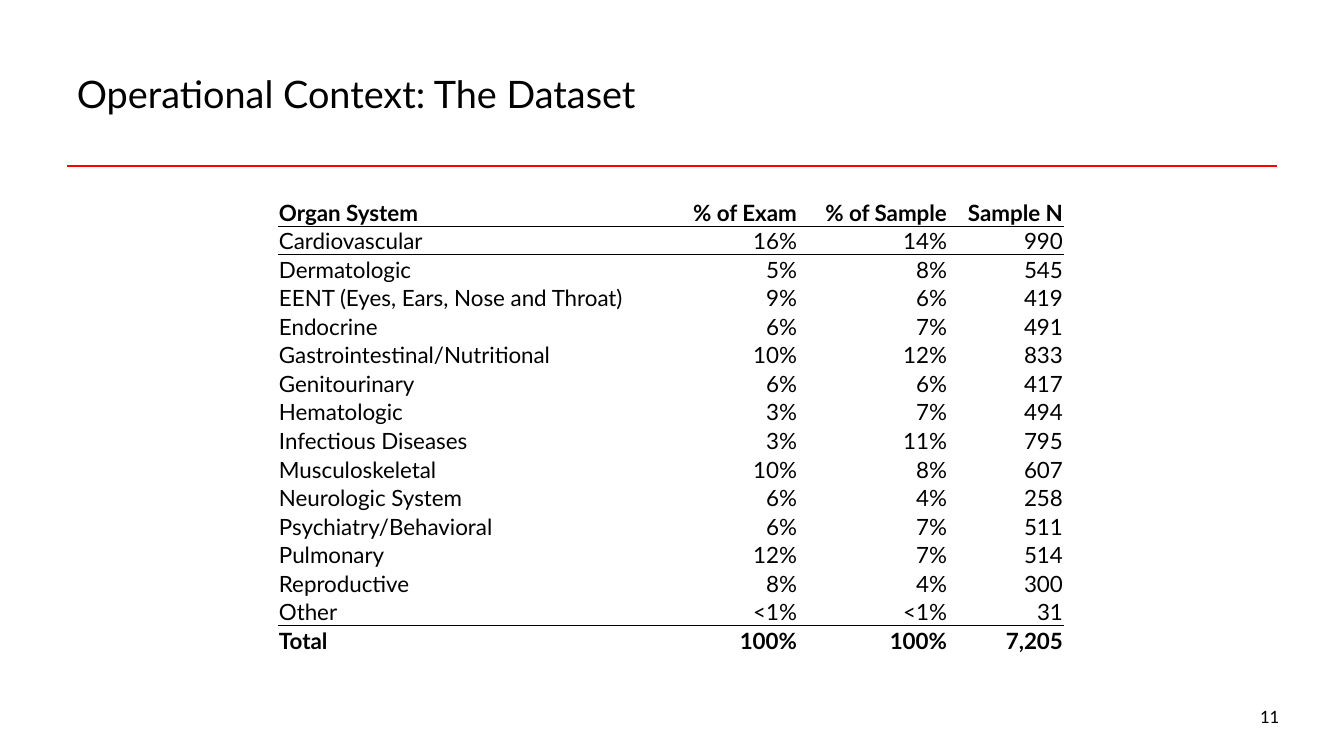
from lxml.etree import SubElement
from pptx import Presentation
from pptx.dml.color import RGBColor
from pptx.enum.shapes import MSO_CONNECTOR as Connector
from pptx.enum.text import MSO_ANCHOR as Anchor, PP_ALIGN as Align
from pptx.oxml import parse_xml
from pptx.oxml.ns import nsdecls, qn
from pptx.util import Pt

TITLE = "Operational Context: The Dataset"
PAGE_NUMBER = "11"
ORGAN_SYSTEMS = [
    ("Organ System", "% of Exam", "% of Sample", "Sample N"),
    ("Cardiovascular", "16%", "14%", "990"),
    ("Dermatologic", "5%", "8%", "545"),
    ("EENT (Eyes, Ears, Nose and Throat)", "9%", "6%", "419"),
    ("Endocrine", "6%", "7%", "491"),
    ("Gastrointestinal/Nutritional", "10%", "12%", "833"),
    ("Genitourinary", "6%", "6%", "417"),
    ("Hematologic", "3%", "7%", "494"),
    ("Infectious Diseases", "3%", "11%", "795"),
    ("Musculoskeletal", "10%", "8%", "607"),
    ("Neurologic System", "6%", "4%", "258"),
    ("Psychiatry/Behavioral", "6%", "7%", "511"),
    ("Pulmonary", "12%", "7%", "514"),
    ("Reproductive", "8%", "4%", "300"),
    ("Other", "<1%", "<1%", "31"),
    ("Total", "100%", "100%", "7,205"),
]

BLACK = RGBColor(0x00, 0x00, 0x00)
RED = RGBColor(0xFF, 0x00, 0x00)
PLAIN_TABLE_STYLE = "{2D5ABB26-0587-4C30-8999-92F81FD0307C}"

SLIDE_SIZE = (1344, 756)
TITLE_BOX = (67, 30, 1210, 126)
PAGE_NUMBER_BOX = (1250, 700, 94, 40)
RULE = (67, 166, 1277, 166)
TABLE_LEFT, TABLE_TOP = 278, 197
COLUMN_WIDTHS = (393, 127, 150, 116)
END_ROW_HEIGHT = 29
BODY_HEIGHT = 400

TITLE_FONT = {"name": "Lato", "size": Pt(27)}
PAGE_FONT = {"name": "Calibri", "size": Pt(13.5)}
TABLE_FONT = {"name": "Lato", "size": Pt(16)}


def px(length):
    return round(length * 914400 / 100.8)


def set_all(target, values):
    for name, value in values.items():
        setattr(target, name, value)


def write(paragraph, text, font_format):
    run = paragraph.add_run()
    run.text = text
    set_all(run.font, font_format)
    run.font.color.rgb = BLACK


def add_text(slide, box, text, font_format, anchor):
    frame = slide.shapes.add_textbox(*map(px, box)).text_frame
    set_all(frame, {"word_wrap": True, "vertical_anchor": anchor})
    write(frame.paragraphs[0], text, font_format)


def add_rule(slide):
    rule = slide.shapes.add_connector(Connector.STRAIGHT, *map(px, RULE))
    rule.line.color.rgb = RED
    rule.line.width = Pt(1.5)
    SubElement(rule._element.spPr, qn("a:effectLst"))


def add_border(cell, side):
    """Draw a thin black line on side "T" or "B" of the cell."""
    border = parse_xml(
        f'<a:ln{side} {nsdecls("a")} w="{Pt(0.5)}"><a:solidFill>'
        f'<a:srgbClr val="{BLACK}"/></a:solidFill></a:ln{side}>'
    )
    cell._tc.get_or_add_tcPr().insert(0, border)


def add_dataset_table(slide):
    last = len(ORGAN_SYSTEMS) - 1
    body_row_height = BODY_HEIGHT / (last - 1)
    table_size = (sum(COLUMN_WIDTHS), BODY_HEIGHT + 2 * END_ROW_HEIGHT)
    table = slide.shapes.add_table(
        len(ORGAN_SYSTEMS), len(COLUMN_WIDTHS),
        *map(px, (TABLE_LEFT, TABLE_TOP, *table_size)),
    ).table
    set_all(table, {"first_row": False, "horz_banding": False})
    table._tbl.tblPr.find(qn("a:tableStyleId")).text = PLAIN_TABLE_STYLE

    for column, width in zip(table.columns, COLUMN_WIDTHS):
        column.width = px(width)
    for index, values in enumerate(ORGAN_SYSTEMS):
        is_end = index in (0, last)
        table.rows[index].height = px(END_ROW_HEIGHT if is_end else body_row_height)
        for column_index, text in enumerate(values):
            cell = table.cell(index, column_index)
            set_all(cell, {
                "margin_left": px(1), "margin_right": px(1), "margin_top": px(1),
                "margin_bottom": 0, "vertical_anchor": Anchor.BOTTOM,
            })
            cell.fill.background()
            paragraph = cell.text_frame.paragraphs[0]
            paragraph.alignment = Align.RIGHT if column_index else Align.LEFT
            write(paragraph, text, {**TABLE_FONT, "bold": is_end})
            if index in (0, last - 1):
                add_border(cell, "B")
            if index in (1, last):
                add_border(cell, "T")


def main():
    presentation = Presentation()
    presentation.slide_width, presentation.slide_height = map(px, SLIDE_SIZE)
    slide = presentation.slides.add_slide(presentation.slide_layouts[6])
    add_rule(slide)
    add_text(slide, TITLE_BOX, TITLE, TITLE_FONT, Anchor.MIDDLE)
    add_text(slide, PAGE_NUMBER_BOX, PAGE_NUMBER, PAGE_FONT, Anchor.TOP)
    add_dataset_table(slide)
    presentation.save("out.pptx")


if __name__ == "__main__":
    main()
